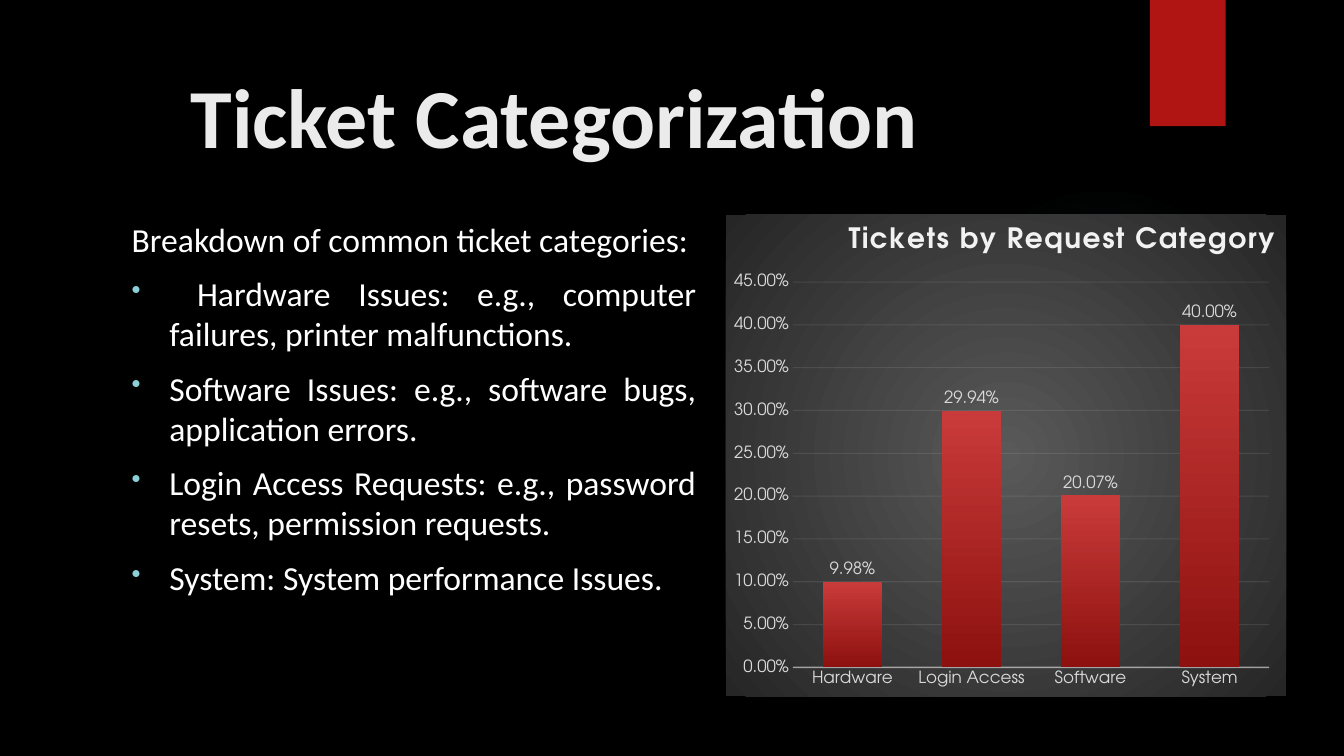
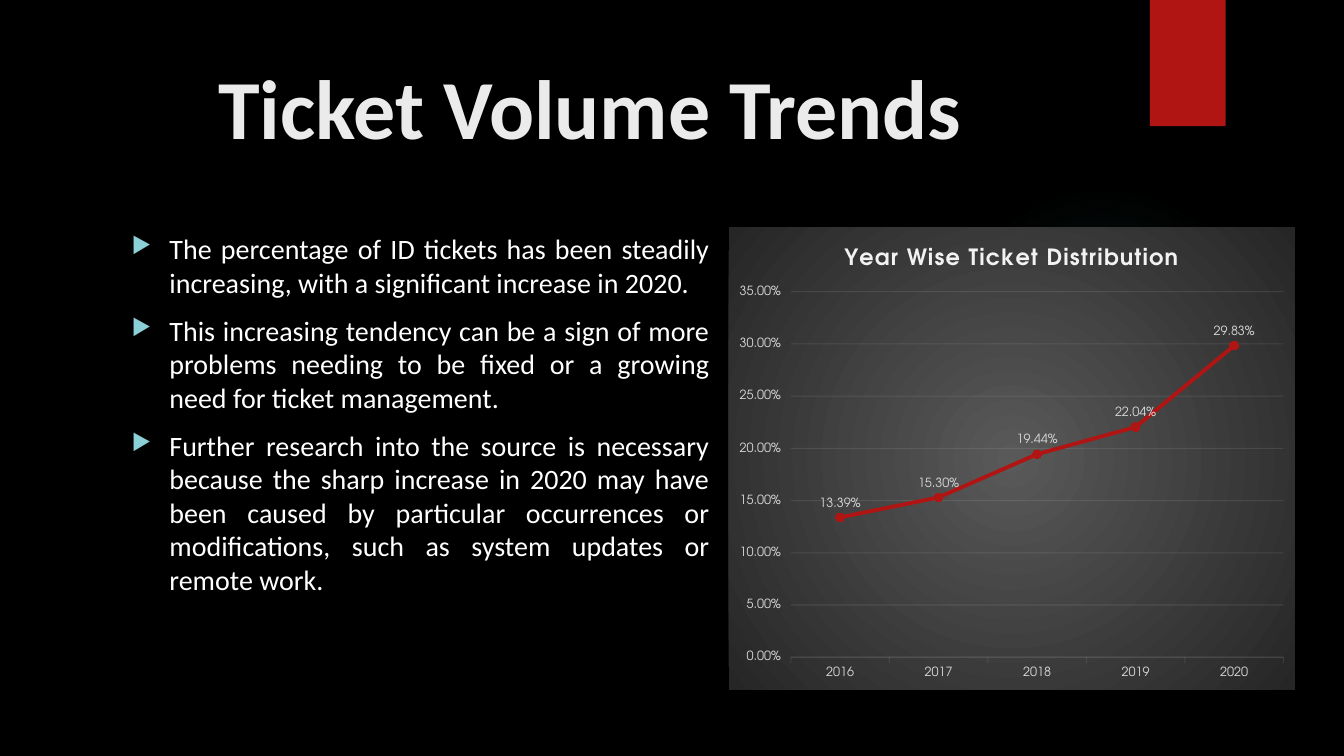
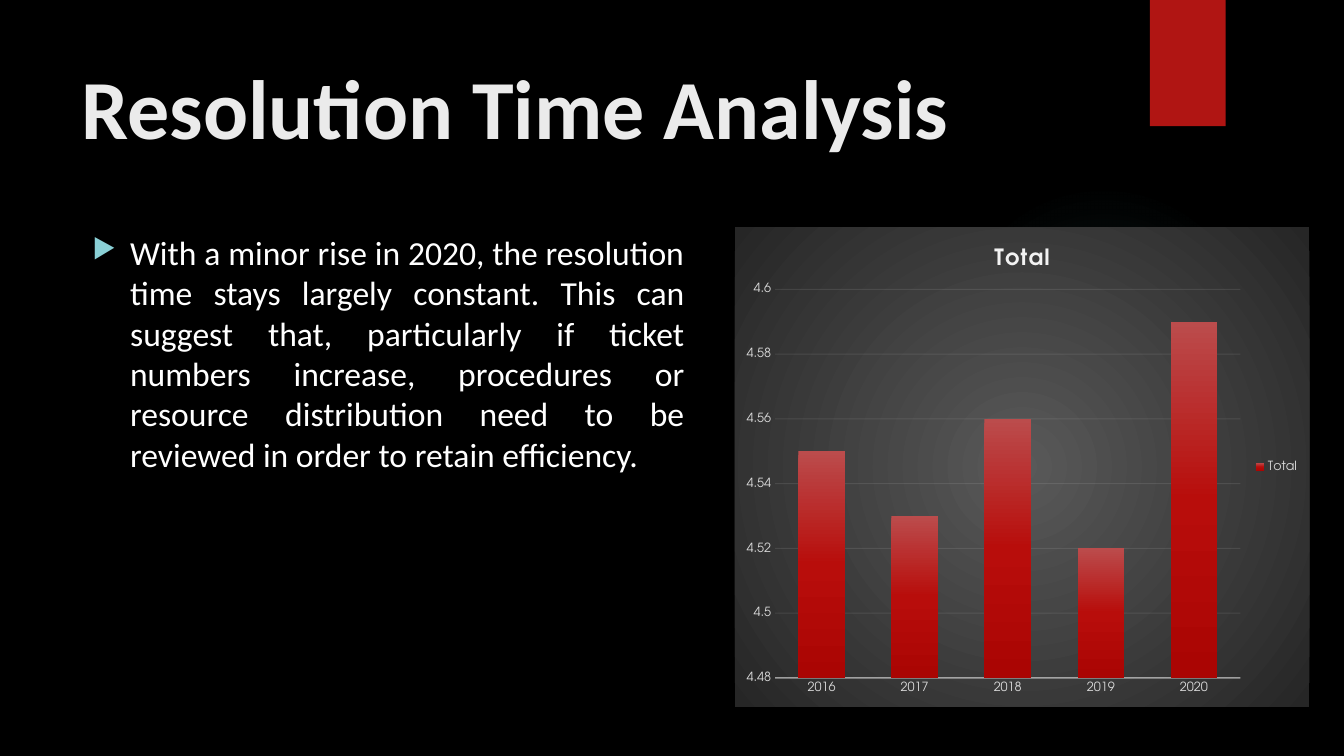
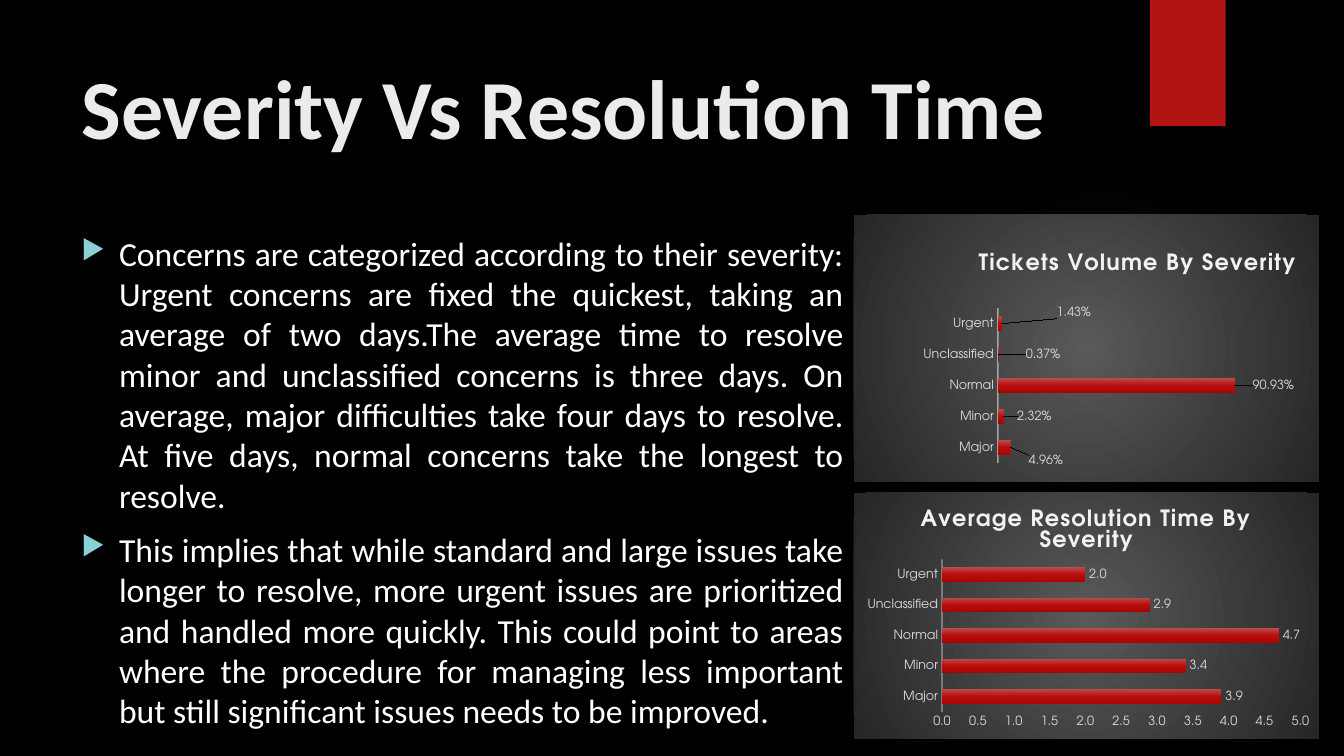
from dataclasses import dataclass
from typing import Optional

from pptx import Presentation
from pptx.chart.chart import Chart
from pptx.chart.data import CategoryChartData
from pptx.dml.color import RGBColor
from pptx.enum.chart import (XL_CHART_TYPE, XL_LABEL_POSITION, XL_LEGEND_POSITION,
                             XL_MARKER_STYLE, XL_TICK_MARK)
from pptx.enum.shapes import MSO_SHAPE
from pptx.enum.text import MSO_ANCHOR, MSO_AUTO_SIZE, PP_ALIGN
from pptx.oxml import parse_xml
from pptx.oxml.ns import nsdecls, qn
from pptx.slide import Slide, SlideLayout
from pptx.text.text import Font
from pptx.util import Cm, Pt

BLACK = RGBColor(0x00, 0x00, 0x00)
WHITE = RGBColor(0xFF, 0xFF, 0xFF)
TITLE_WHITE = RGBColor(0xEB, 0xEB, 0xEB)
CHART_WHITE = RGBColor(0xF2, 0xF2, 0xF2)
LABEL_GRAY = RGBColor(0xD9, 0xD9, 0xD9)
PANEL_CENTER = RGBColor(0x59, 0x59, 0x59)
PANEL_EDGE = RGBColor(0x26, 0x26, 0x26)
TEAL = RGBColor(0x50, 0xB9, 0xC1)
BULLET_TEAL = RGBColor(0x8A, 0xD0, 0xD6)
RED = RGBColor(0xB0, 0x15, 0x13)
MARKER_RED = RGBColor(0xB8, 0x0D, 0x0B)

TEXT_FONT = "Calibri"
CHART_FONT = "TeX Gyre Adventor"
PERCENT = "0.00%"
LINEAR = '<a:lin ang="5400000" scaled="0"/>'
RADIAL = '<a:path path="circle"><a:fillToRect l="50000" t="50000" r="50000" b="50000"/></a:path>'
YEARS = ("2016", "2017", "2018", "2019", "2020")
SEVERITIES = ("Major", "Minor", "Normal", "Unclassified", "Urgent")


@dataclass(frozen=True)
class Stop:
    position: int
    color: RGBColor
    opacity: int = 100


@dataclass(frozen=True)
class Frame:
    left: float
    top: float
    width: float
    height: float

    def lengths(self) -> tuple[Cm, Cm, Cm, Cm]:
        return Cm(self.left), Cm(self.top), Cm(self.width), Cm(self.height)


@dataclass(frozen=True)
class Body:
    frame: Frame
    points: tuple[str, ...]
    lead: str = ""
    bullet: str = "▶"
    size: int = 24


@dataclass(frozen=True)
class Graph:
    frame: Frame
    kind: XL_CHART_TYPE
    title: str
    categories: tuple[str, ...]
    values: tuple[float, ...]
    scale: tuple[float, float, float]
    plot: tuple[float, float, float, float]
    number_format: str = PERCENT
    stops: tuple[Stop, ...] = ()
    series: str = "Series 1"
    title_size: int = 16
    title_place: Optional[tuple[float, float]] = None
    label_size: int = 9
    gap: int = 100
    overlap: int = -24
    grid: bool = True
    value_axis: bool = True
    labels: bool = True
    legend: bool = False
    label_shifts: tuple[tuple[float, float], ...] = ()


@dataclass(frozen=True)
class Page:
    title: str
    body: Body
    graphs: tuple[Graph, ...]
    title_frame: Frame = Frame(1.8, 1.27, 26.14, 3.89)
    alignment: PP_ALIGN = PP_ALIGN.LEFT


GLOW = (Stop(0, TEAL, 7), Stop(36, TEAL, 6), Stop(69, TEAL, 0))
PANEL = (Stop(0, PANEL_CENTER), Stop(100, PANEL_EDGE))
CATEGORY_RED = (Stop(0, RGBColor(0xC9, 0x3B, 0x3A)), Stop(100, RGBColor(0x8D, 0x11, 0x0F)))
GLOSSY_RED = (Stop(0, RGBColor(0xBB, 0x4C, 0x4C)), Stop(50, MARKER_RED),
              Stop(100, RGBColor(0xAA, 0x05, 0x03)))

PAGES = (
    Page(
        "Ticket Categorization",
        Body(
            Frame(3.07, 5.38, 14.73, 11.96),
            (
                " Hardware Issues: e.g., computer failures, printer malfunctions.",
                "Software Issues: e.g., software bugs, application errors.",
                "Login Access Requests: e.g., password resets, permission requests.",
                "System: System performance Issues.",
            ),
            lead="Breakdown of common ticket categories:",
            bullet="•",
        ),
        (
            Graph(
                Frame(18.29, 5.41, 14.12, 12.14), XL_CHART_TYPE.COLUMN_CLUSTERED,
                "Tickets by Request Category",
                ("Hardware", "Login Access", "Software", "System"),
                (0.0998, 0.2994, 0.2007, 0.4), (0, 0.45, 0.05), (0.12, 0.14, 0.85, 0.8),
                stops=CATEGORY_RED, title_size=20, title_place=(0.21, 0.01), label_size=12,
            ),
        ),
        title_frame=Frame(4.55, 1.5, 26.14, 3.89),
    ),
    Page(
        "Ticket Volume Trends",
        Body(
            Frame(3.07, 5.72, 15.06, 11.66),
            (
                "The percentage of ID tickets has been steadily increasing, with a "
                "significant increase in 2020.",
                "This increasing tendency can be a sign of more problems needing to be "
                "fixed or a growing need for ticket management.",
                "Further research into the source is necessary because the sharp increase "
                "in 2020 may have been caused by particular occurrences or modifications, "
                "such as system updates or remote work.",
            ),
            size=20,
        ),
        (
            Graph(
                Frame(18.36, 5.72, 14.27, 11.66), XL_CHART_TYPE.LINE_MARKERS,
                "Year Wise Ticket Distribution", YEARS,
                (0.1339, 0.153, 0.1944, 0.2204, 0.2983), (0, 0.35, 0.05),
                (0.11, 0.14, 0.87, 0.79),
            ),
        ),
        alignment=PP_ALIGN.CENTER,
    ),
    Page(
        "Resolution Time Analysis",
        Body(
            Frame(2.08, 5.72, 15.42, 11.66),
            (
                "With a minor rise in 2020, the resolution time stays largely constant. "
                "This can suggest that, particularly if ticket numbers increase, procedures "
                "or resource distribution need to be reviewed in order to retain efficiency.",
            ),
        ),
        (
            Graph(
                Frame(18.52, 5.72, 14.48, 12.09), XL_CHART_TYPE.COLUMN_CLUSTERED,
                "Total", YEARS, (4.55, 4.53, 4.56, 4.52, 4.59), (4.48, 4.6, 0.02),
                (0.07, 0.13, 0.81, 0.81), number_format="General", stops=GLOSSY_RED,
                series="Total", labels=False, legend=True,
            ),
        ),
    ),
    Page(
        "Severity Vs Resolution Time",
        Body(
            Frame(1.8, 5.74, 19.71, 12.04),
            (
                "Concerns are categorized according to their severity: Urgent concerns are "
                "fixed the quickest, taking an average of two days.The average time to "
                "resolve minor and unclassified concerns is three days. On average, major "
                "difficulties take four days to resolve. At five days, normal concerns take "
                "the longest to resolve.",
                "This implies that while standard and large issues take longer to resolve, "
                "more urgent issues are prioritized and handled more quickly. This could "
                "point to areas where the procedure for managing less important but still "
                "significant issues needs to be improved.",
            ),
        ),
        (
            Graph(
                Frame(21.51, 5.41, 11.73, 6.73), XL_CHART_TYPE.BAR_CLUSTERED,
                "Tickets Volume By Severity", SEVERITIES,
                (0.0496, 0.0232, 0.9093, 0.0037, 0.0143), (0, 1, 0.1),
                (0.31, 0.35, 0.56, 0.58), stops=GLOSSY_RED, title_place=(0.26, 0.12),
                gap=115, overlap=-20, grid=False, value_axis=False,
                label_shifts=((0.03, 0.05), (0.02, 0), (0.03, 0), (0.05, 0), (0.11, -0.04)),
            ),
            Graph(
                Frame(21.51, 12.42, 11.73, 6.2), XL_CHART_TYPE.BAR_CLUSTERED,
                "Average Resolution Time By Severity", SEVERITIES,
                (3.9, 3.4, 4.7, 2.9, 2), (0, 5, 0.5), (0.19, 0.27, 0.77, 0.62),
                number_format="0.0", stops=GLOSSY_RED, gap=115, overlap=-20, grid=False,
            ),
        ),
    ),
)


def style_font(font: Font, name: str, size: float, color: RGBColor, bold: bool = False) -> None:
    font.name = name
    font.size = Pt(size)
    font.color.rgb = color
    font.bold = bold


def gradient(stops: tuple[Stop, ...], direction: str):
    marks = "".join(
        f'<a:gs pos="{stop.position * 1000}"><a:srgbClr val="{stop.color}">'
        f'<a:alpha val="{stop.opacity * 1000}"/></a:srgbClr></a:gs>'
        for stop in stops
    )
    return parse_xml(
        f'<a:gradFill {nsdecls("a")} rotWithShape="1"><a:gsLst>{marks}</a:gsLst>'
        f"{direction}</a:gradFill>"
    )


def replace_solid(properties, stops: tuple[Stop, ...], direction: str) -> None:
    properties.replace(properties.find(qn("a:solidFill")), gradient(stops, direction))


def set_layout(parent, index: int, settings: dict[str, object]) -> None:
    current = parent.find(qn("c:layout"))
    if current is not None:
        parent.remove(current)
    entries = "".join(f'<c:{name} val="{value}"/>' for name, value in settings.items())
    parent.insert(index, parse_xml(
        f'<c:layout {nsdecls("c")}><c:manualLayout>{entries}</c:manualLayout></c:layout>'
    ))


def fade(chart: Chart, place: str, opacity: int) -> None:
    for color in chart.element.xpath(f".//{place}/c:spPr//a:srgbClr"):
        color.append(parse_xml(f'<a:alpha {nsdecls("a")} val="{opacity * 1000}"/>'))


def decorate_layout(layout: SlideLayout, slide: Slide) -> None:
    decorations = (
        (MSO_SHAPE.OVAL, Frame(23.9, 4.65, 7.82, 7.82), TEAL),
        (MSO_SHAPE.RECTANGLE, Frame(28.98, 0, 1.91, 3.18), RED),
    )
    for index, (kind, frame, color) in enumerate(decorations):
        shape = slide.shapes.add_shape(kind, *frame.lengths())
        shape.shadow.inherit = False
        shape.fill.solid()
        shape.fill.fore_color.rgb = color
        shape.line.fill.background()
        if kind == MSO_SHAPE.OVAL:
            replace_solid(shape.element.find(qn("p:spPr")), GLOW, RADIAL)
        shape.element.xpath("./p:nvSpPr/p:cNvPr")[0].set("id", str(20 + index))
        layout.shapes.element.insert(2 + index, shape.element)


def add_title(slide: Slide, page: Page) -> None:
    box = slide.shapes.title
    box.left, box.top, box.width, box.height = page.title_frame.lengths()
    frame = box.text_frame
    frame.text = page.title
    frame.auto_size = MSO_AUTO_SIZE.NONE
    frame.vertical_anchor = MSO_ANCHOR.TOP
    para = frame.paragraphs[0]
    para.alignment = page.alignment
    style_font(para.runs[0].font, TEXT_FONT, 60, TITLE_WHITE, True)


def add_body(slide: Slide, body: Body) -> None:
    box = slide.shapes.add_textbox(*body.frame.lengths())
    frame = box.text_frame
    frame.word_wrap = True
    lines = (body.lead, *body.points) if body.lead else body.points
    frame.text = "\n".join(lines)
    for para in frame.paragraphs:
        para.alignment = PP_ALIGN.JUSTIFY
        para.space_before = Pt(10)
        style_font(para.runs[0].font, TEXT_FONT, body.size, WHITE)
    for properties in box.element.xpath(".//a:pPr")[-len(body.points):]:
        properties.set("marL", str(Cm(0.95)))
        properties.set("indent", str(-Cm(0.95)))
        for mark in (
            f'<a:buClr {nsdecls("a")}><a:srgbClr val="{BULLET_TEAL}"/></a:buClr>',
            f'<a:buSzPct {nsdecls("a")} val="80000"/>',
            f'<a:buChar {nsdecls("a")} char="{body.bullet}"/>',
        ):
            properties.append(parse_xml(mark))


def format_title(chart: Chart, graph: Graph) -> None:
    chart.has_title = True
    title = chart.chart_title
    title.text_frame.text = graph.title
    span = title.text_frame.paragraphs[0].runs[0]
    style_font(span.font, CHART_FONT, graph.title_size, CHART_WHITE, True)
    for properties in title.element.iter(qn("a:rPr")):
        properties.set("spc", "100")
    if graph.title_place:
        left, top = graph.title_place
        set_layout(title.element, 1, {"xMode": "edge", "yMode": "edge", "x": left, "y": top})


def format_axes(chart: Chart, graph: Graph, is_line: bool) -> None:
    category_axis, value_axis = chart.category_axis, chart.value_axis
    for axis in (category_axis, value_axis):
        axis.major_tick_mark = XL_TICK_MARK.OUTSIDE if is_line else XL_TICK_MARK.NONE
        axis.minor_tick_mark = XL_TICK_MARK.NONE
        style_font(axis.tick_labels.font, CHART_FONT, graph.label_size, LABEL_GRAY)
    category_axis.has_major_gridlines = False
    category_axis.format.line.color.rgb = CHART_WHITE
    category_axis.format.line.width = Pt(0.75 if is_line else 1)
    fade(chart, "c:catAx", 10 if is_line else 54)

    value_axis.minimum_scale, value_axis.maximum_scale, value_axis.major_unit = graph.scale
    value_axis.tick_labels.number_format = graph.number_format
    value_axis.tick_labels.number_format_is_linked = False
    value_axis.format.line.fill.background()
    value_axis.visible = graph.value_axis
    value_axis.has_major_gridlines = graph.grid
    if graph.grid:
        line = value_axis.major_gridlines.format.line
        line.color.rgb = CHART_WHITE
        line.width = Pt(0.75)
        fade(chart, "c:majorGridlines", 10)


def format_series(chart: Chart, graph: Graph, is_line: bool) -> None:
    plot = chart.plots[0]
    plot.vary_by_categories = False
    series = plot.series[0]
    if is_line:
        series.smooth = False
        series.format.line.color.rgb = RED
        series.format.line.width = Pt(2.75)
        series.marker.style = XL_MARKER_STYLE.CIRCLE
        series.marker.size = 6
        series.marker.format.fill.solid()
        series.marker.format.fill.fore_color.rgb = MARKER_RED
        series.marker.format.line.fill.background()
    else:
        plot.gap_width = graph.gap
        plot.overlap = graph.overlap
        series.format.fill.solid()
        series.format.fill.fore_color.rgb = RED
        replace_solid(chart.element.xpath(".//c:ser/c:spPr")[0], graph.stops, LINEAR)


def format_labels(chart: Chart, graph: Graph, is_line: bool) -> None:
    position = XL_LABEL_POSITION.ABOVE if is_line else XL_LABEL_POSITION.OUTSIDE_END
    series = chart.plots[0].series[0]
    labels = series.data_labels
    labels.show_value = True
    labels.number_format = graph.number_format
    labels.number_format_is_linked = False
    labels.position = position
    style_font(labels.font, CHART_FONT, graph.label_size, LABEL_GRAY)
    for index in range(len(graph.label_shifts)):
        label = series.points[index].data_label
        style_font(label.font, CHART_FONT, graph.label_size, LABEL_GRAY)
        label.position = position
    for element, (across, down) in zip(chart.element.xpath(".//c:dLbl"), graph.label_shifts):
        set_layout(element, 1, {"x": across, "y": down})
        element.insert(2, parse_xml(
            f'<c:numFmt {nsdecls("c")} formatCode="{graph.number_format}" sourceLinked="0"/>'
        ))


def add_graph(slide: Slide, graph: Graph) -> None:
    is_line = graph.kind == XL_CHART_TYPE.LINE_MARKERS
    data = CategoryChartData(number_format=graph.number_format)
    data.categories = graph.categories
    data.add_series(graph.series, graph.values)
    chart = slide.shapes.add_chart(graph.kind, *graph.frame.lengths(), data).chart
    style_font(chart.font, CHART_FONT, 10, WHITE)
    format_title(chart, graph)
    format_axes(chart, graph, is_line)
    format_series(chart, graph, is_line)
    if graph.labels:
        format_labels(chart, graph, is_line)
    chart.has_legend = graph.legend
    if graph.legend:
        chart.legend.position = XL_LEGEND_POSITION.RIGHT
        chart.legend.include_in_layout = False
        style_font(chart.legend.font, CHART_FONT, 9, LABEL_GRAY)

    left, top, width, height = graph.plot
    set_layout(chart.element.xpath(".//c:plotArea")[0], 0, {
        "layoutTarget": "inner", "xMode": "edge", "yMode": "edge",
        "x": left, "y": top, "w": width, "h": height,
    })
    panel = parse_xml(f'<c:spPr {nsdecls("c", "a")}><a:ln><a:noFill/></a:ln></c:spPr>')
    panel.insert(0, gradient(PANEL, RADIAL))
    chart.element.find(qn("c:chart")).addnext(panel)


def main() -> None:
    deck = Presentation()
    deck.slide_width, deck.slide_height = Cm(33.87), Cm(19.05)
    background = deck.slide_master.background.fill
    background.solid()
    background.fore_color.rgb = BLACK
    layout = deck.slide_layouts[5]
    for number, page in enumerate(PAGES):
        slide = deck.slides.add_slide(layout)
        if number == 0:
            decorate_layout(layout, slide)
        add_title(slide, page)
        add_body(slide, page.body)
        for graph in page.graphs:
            add_graph(slide, graph)
    deck.save("out.pptx")


if __name__ == "__main__":
    main()
